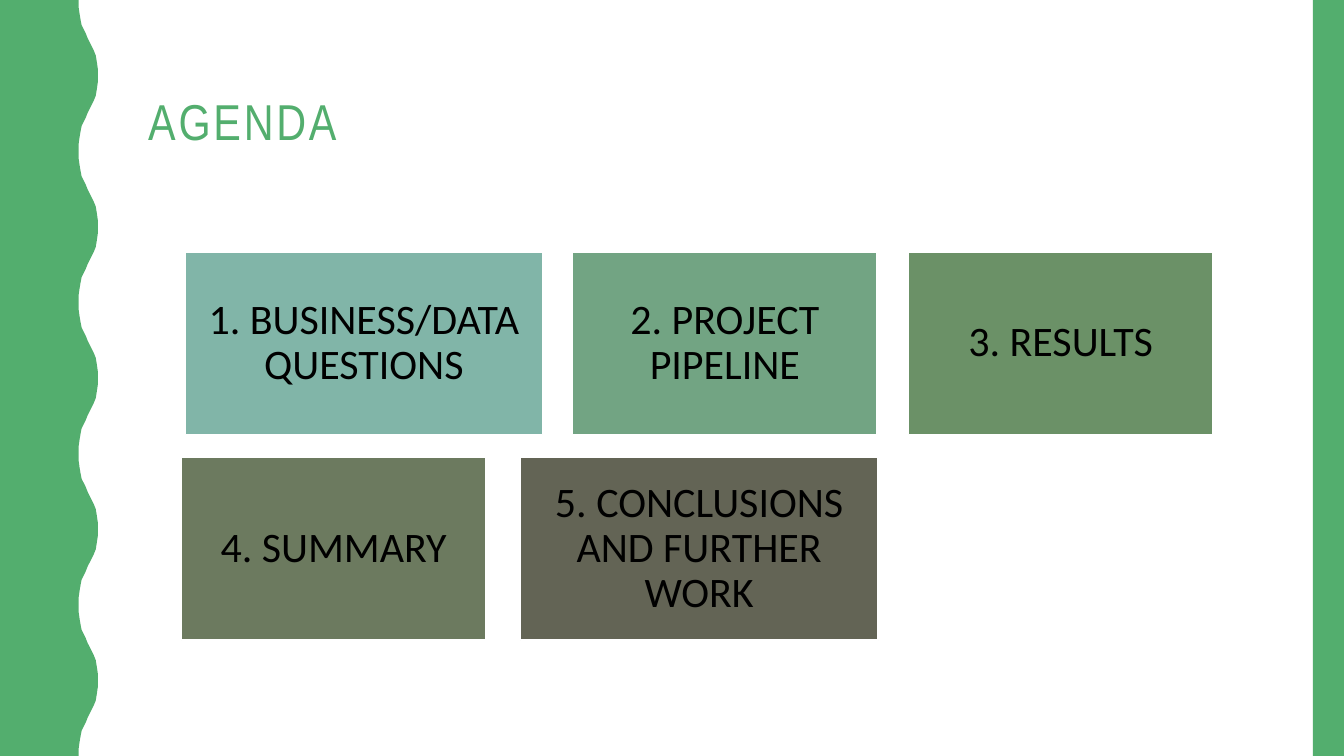
from dataclasses import dataclass

from pptx import Presentation
from pptx.dml.color import RGBColor as RGB
from pptx.enum.shapes import MSO_SHAPE as Shape
from pptx.enum.text import MSO_ANCHOR as Anchor, MSO_AUTO_SIZE as AutoSize, PP_ALIGN as Align
from pptx.util import Inches, Pt


@dataclass(frozen=True)
class Theme:
    accent: str = "53AE6E"
    paper: str = "FFFFFF"
    ink: str = "000000"
    title_font: str = "Arial Narrow"
    body_font: str = "Calibri"
    title_size: int = 36
    body_size: int = 30
    title_spacing: int = 2
    line_spacing: float = 0.9
    card_margin: float = 0.12


WIDTH, HEIGHT = 13.33, 7.5
WAVE_COUNT = 5
WAVE_PERIOD = HEIGHT / WAVE_COUNT
WAVE_RISE = [
    (0.78, 0), (0.78, 0.07), (0.79, 0.14), (0.8, 0.2), (0.81, 0.25),
    (0.83, 0.29), (0.85, 0.33), (0.87, 0.38), (0.89, 0.42), (0.91, 0.46),
    (0.93, 0.5), (0.95, 0.55), (0.96, 0.61), (0.97, 0.68), (0.97, 0.75),
]
CARD_HEIGHT = 1.81
TOP_ROW, BOTTOM_ROW = 2.5, 4.54
AGENDA = [
    ("1. BUSINESS/DATA QUESTIONS", 1.84, TOP_ROW, 3.54, "81B5A8"),
    ("2. PROJECT PIPELINE", 5.68, TOP_ROW, 3.02, "72A483"),
    ("3. RESULTS", 9.01, TOP_ROW, 3.02, "6B9167"),
    ("4. SUMMARY", 1.8, BOTTOM_ROW, 3.02, "6C7A5F"),
    ("5. CONCLUSIONS AND FURTHER WORK", 5.16, BOTTOM_ROW, 3.55, "636455"),
]


class SlideBuilder:
    def __init__(self, slide, theme):
        self.slide = slide
        self.theme = theme

    def background(self):
        fill = self.slide.background.fill
        fill.solid()
        fill.fore_color.rgb = RGB.from_string(self.theme.paper)

    def paint(self, shape, color, outline=None):
        shape.shadow.inherit = False
        shape.fill.solid()
        shape.fill.fore_color.rgb = RGB.from_string(color)
        if outline:
            shape.line.color.rgb = RGB.from_string(outline)
            shape.line.width = Pt(1)
        else:
            shape.line.fill.background()

    def add_text(self, shape, text, font, size, color, align):
        frame = shape.text_frame
        frame.word_wrap = True
        frame.auto_size = AutoSize.NONE
        frame.vertical_anchor = Anchor.MIDDLE
        paragraph = frame.paragraphs[0]
        paragraph.alignment = align
        paragraph.line_spacing = self.theme.line_spacing
        run = paragraph.add_run()
        run.text = text
        run.font.name = font
        run.font.size = Pt(size)
        run.font.color.rgb = RGB.from_string(color)
        return run

    def title(self, text, left, top, width, height):
        theme = self.theme
        shape = self.slide.shapes.title
        shape.left, shape.top = Inches(left), Inches(top)
        shape.width, shape.height = Inches(width), Inches(height)
        run = self.add_text(shape, text, theme.title_font, theme.title_size, theme.accent, Align.LEFT)
        run._r.get_or_add_rPr().set("spc", str(theme.title_spacing * 100))

    def rectangle(self, left, top, width, height, color, outline=None):
        shape = self.slide.shapes.add_shape(
            Shape.RECTANGLE, Inches(left), Inches(top), Inches(width), Inches(height))
        self.paint(shape, color, outline)
        return shape

    def wavy_band(self):
        fall = [(x, WAVE_PERIOD - y) for x, y in reversed(WAVE_RISE[:-1])]
        wave = WAVE_RISE + fall[:-1]
        edge = [(x, y + index * WAVE_PERIOD) for index in range(WAVE_COUNT) for x, y in wave]
        outline = edge + [(WAVE_RISE[0][0], HEIGHT), (0, HEIGHT)]
        builder = self.slide.shapes.build_freeform(0, 0)
        builder.add_line_segments([(Inches(x), Inches(y)) for x, y in outline], close=True)
        self.paint(builder.convert_to_shape(), self.theme.accent)

    def card(self, text, left, top, width, color):
        theme = self.theme
        shape = self.rectangle(left, top, width, CARD_HEIGHT, color, theme.paper)
        frame = shape.text_frame
        frame.margin_left = frame.margin_right = Inches(theme.card_margin)
        frame.margin_top = frame.margin_bottom = Inches(theme.card_margin)
        self.add_text(shape, text, theme.body_font, theme.body_size, theme.ink, Align.CENTER)


def main():
    presentation = Presentation()
    presentation.slide_width = Inches(WIDTH)
    presentation.slide_height = Inches(HEIGHT)
    slide = presentation.slides.add_slide(presentation.slide_layouts.get_by_name("Title Only"))
    builder = SlideBuilder(slide, Theme())
    builder.background()
    builder.title("AGENDA", 1.37, 0.42, 11.13, 1.63)
    builder.wavy_band()
    builder.rectangle(13.02, 0, 0.31, HEIGHT, builder.theme.accent)
    for item in AGENDA:
        builder.card(*item)
    presentation.save("out.pptx")


if __name__ == "__main__":
    main()
